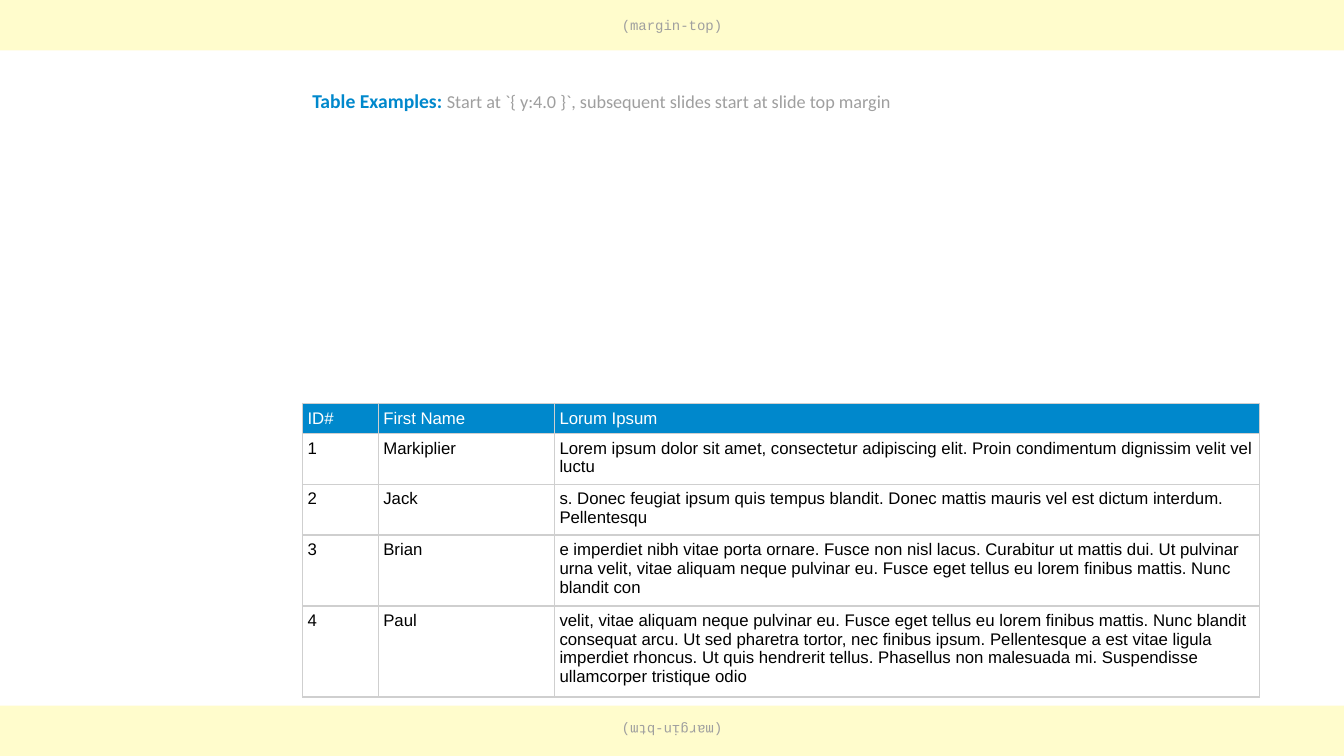
"""Build a slide with margin bands, a heading and a table of names."""
from lxml.etree import SubElement as Sub
from pptx import Presentation as Deck
from pptx.dml.color import RGBColor as Rgb
from pptx.enum.shapes import MSO_SHAPE as Kind
from pptx.enum.text import MSO_ANCHOR as Anchor, PP_ALIGN as Align
from pptx.oxml.ns import qn
from pptx.util import Cm, Pt

HUES = {
    "band": "FFFCCC",
    "note": "9F9F9F",
    "head": "0088CC",
    "rule": "CFCFCF",
    "light": "FFFFFF",
    "dark": "000000",
}
FORMS = {
    "band": {"name": "Courier New", "size": Pt(10)},
    "title": {"name": "Calibri", "size": Pt(14), "bold": True},
    "hint": {"name": "Calibri", "size": Pt(13), "bold": False},
    "cell": {"name": "Arial", "size": Pt(12)},
}
WIDE, HIGH, BAND = 33.87, 19.05, 1.27
LEFT = 7.62
INSET = 0.13
COLS = (1.91, 4.44, 17.78)
LINES = (1, 2, 2, 3, 4)
ROWS = (
    ("ID#", "First Name", "Lorum Ipsum"),
    ("1", "Markiplier",
     "Lorem ipsum dolor sit amet, consectetur adipiscing elit. "
     "Proin condimentum dignissim velit vel luctu"),
    ("2", "Jack",
     "s. Donec feugiat ipsum quis tempus blandit. "
     "Donec mattis mauris vel est dictum interdum. Pellentesqu"),
    ("3", "Brian",
     "e imperdiet nibh vitae porta ornare. Fusce non nisl lacus. "
     "Curabitur ut mattis dui. Ut pulvinar urna velit, vitae aliquam "
     "neque pulvinar eu. Fusce eget tellus eu lorem finibus mattis. "
     "Nunc blandit con"),
    ("4", "Paul",
     "velit, vitae aliquam neque pulvinar eu. Fusce eget tellus eu lorem "
     "finibus mattis. Nunc blandit consequat arcu. Ut sed pharetra tortor, "
     "nec finibus ipsum. Pellentesque a est vitae ligula imperdiet rhoncus. "
     "Ut quis hendrerit tellus. Phasellus non malesuada mi. "
     "Suspendisse ullamcorper tristique odio"),
)


class Page:
    def __init__(self, slide, hues, forms):
        self.shapes = slide.shapes
        self.hues = hues
        self.forms = forms

    def paint(self, fill, hue):
        fill.solid()
        fill.fore_color.rgb = Rgb.from_string(self.hues[hue])

    def words(self, para, text, form, hue):
        run = para.add_run()
        run.text = text
        for key, value in self.forms[form].items():
            setattr(run.font, key, value)
        run.font.color.rgb = Rgb.from_string(self.hues[hue])

    def band(self, top, text, turn=0):
        box = self.shapes.add_shape(
            Kind.RECTANGLE, Cm(0), Cm(top), Cm(WIDE), Cm(BAND))
        box.shadow.inherit = False
        box.rotation = turn
        box.line.fill.background()
        self.paint(box.fill, "band")
        frame = box.text_frame
        frame.vertical_anchor = Anchor.MIDDLE
        para = frame.paragraphs[0]
        para.alignment = Align.CENTER
        self.words(para, text, "band", "note")

    def label(self, left, top, width, height, parts):
        box = self.shapes.add_textbox(Cm(left), Cm(top), Cm(width), Cm(height))
        frame = box.text_frame
        frame.word_wrap = True
        frame.vertical_anchor = Anchor.MIDDLE
        for part in parts:
            self.words(frame.paragraphs[0], *part)

    def edge(self, cell):
        props = cell._tc.get_or_add_tcPr()
        for side in ("a:lnL", "a:lnR", "a:lnT", "a:lnB"):
            line = Sub(props, qn(side), w=str(Pt(1)))
            fill = Sub(line, qn("a:solidFill"))
            Sub(fill, qn("a:srgbClr"), val=self.hues["rule"])

    def cell(self, cell, text, head):
        for side in ("left", "right", "top", "bottom"):
            setattr(cell, f"margin_{side}", Cm(INSET))
        self.edge(cell)
        if head:
            self.paint(cell.fill, "head")
        else:
            cell.fill.background()
        cell.vertical_anchor = Anchor.MIDDLE if head else Anchor.TOP
        hue = "light" if head else "dark"
        self.words(cell.text_frame.paragraphs[0], text, "cell", hue)

    def table(self, left, top, cols, lines, rows):
        highs = [0.25 + 0.47 * count for count in lines]
        grid = self.shapes.add_table(
            len(rows), len(cols), Cm(left), Cm(top),
            Cm(sum(cols)), Cm(sum(highs))).table
        grid.first_row = grid.horz_banding = False
        for col, width in zip(grid.columns, cols):
            col.width = Cm(width)
        for at, (row, high, texts) in enumerate(zip(grid.rows, highs, rows)):
            row.height = Cm(high)
            for cell, text in zip(row.cells, texts):
                self.cell(cell, text, at == 0)


def main():
    deck = Deck()
    deck.slide_width, deck.slide_height = Cm(WIDE), Cm(HIGH)
    page = Page(deck.slides.add_slide(deck.slide_layouts[6]), HUES, FORMS)
    page.band(0, "(margin-top)")
    page.band(HIGH - BAND, "(margin-btm)", 180)
    page.label(LEFT, 1.91, 25.4, BAND, (
        ("Table Examples: ", "title", "head"),
        ("Start at `{ y:4.0 }`, subsequent slides start at slide top margin",
         "hint", "note"),
    ))
    page.table(LEFT, 10.16, COLS, LINES, ROWS)
    deck.save("out.pptx")


if __name__ == "__main__":
    main()
